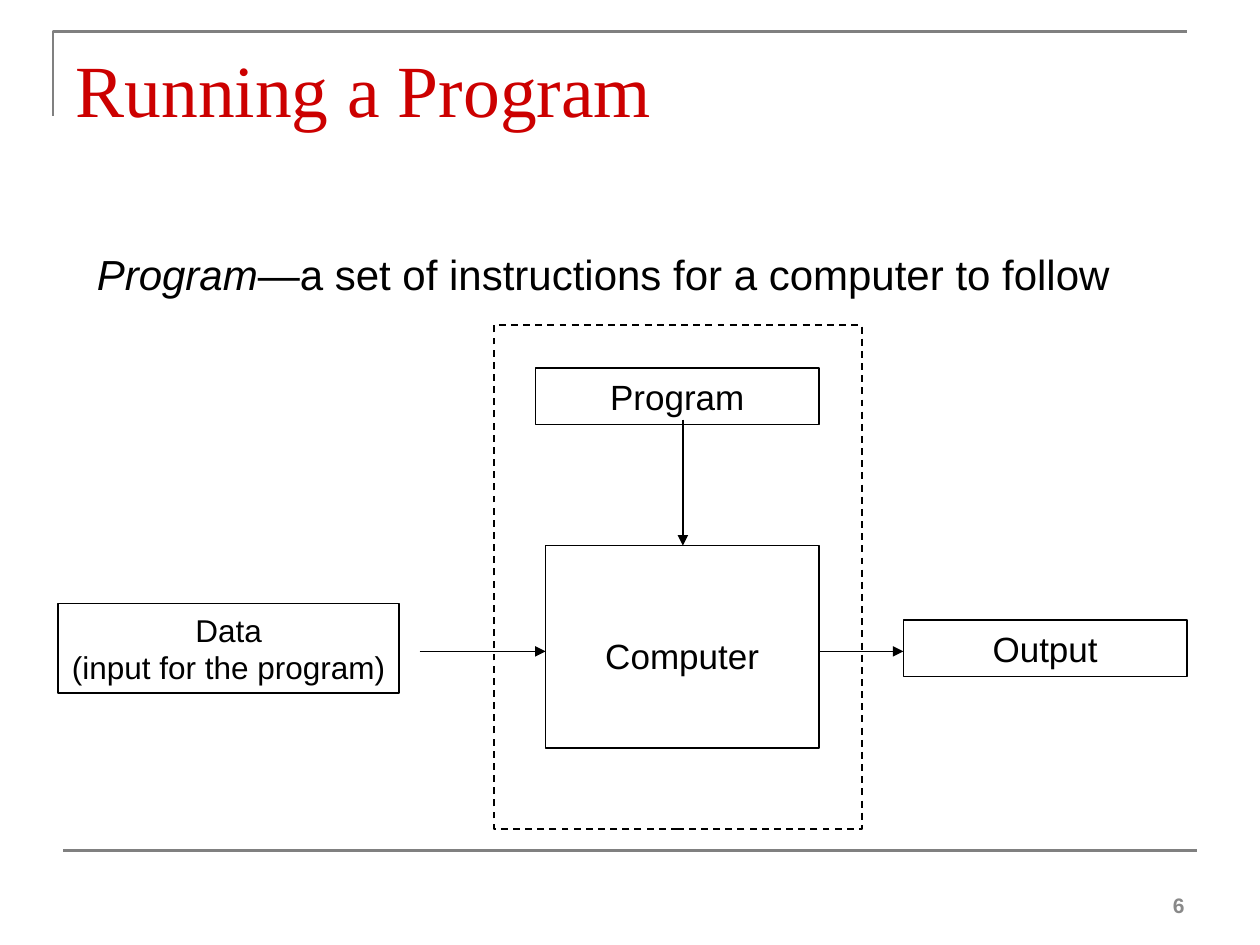
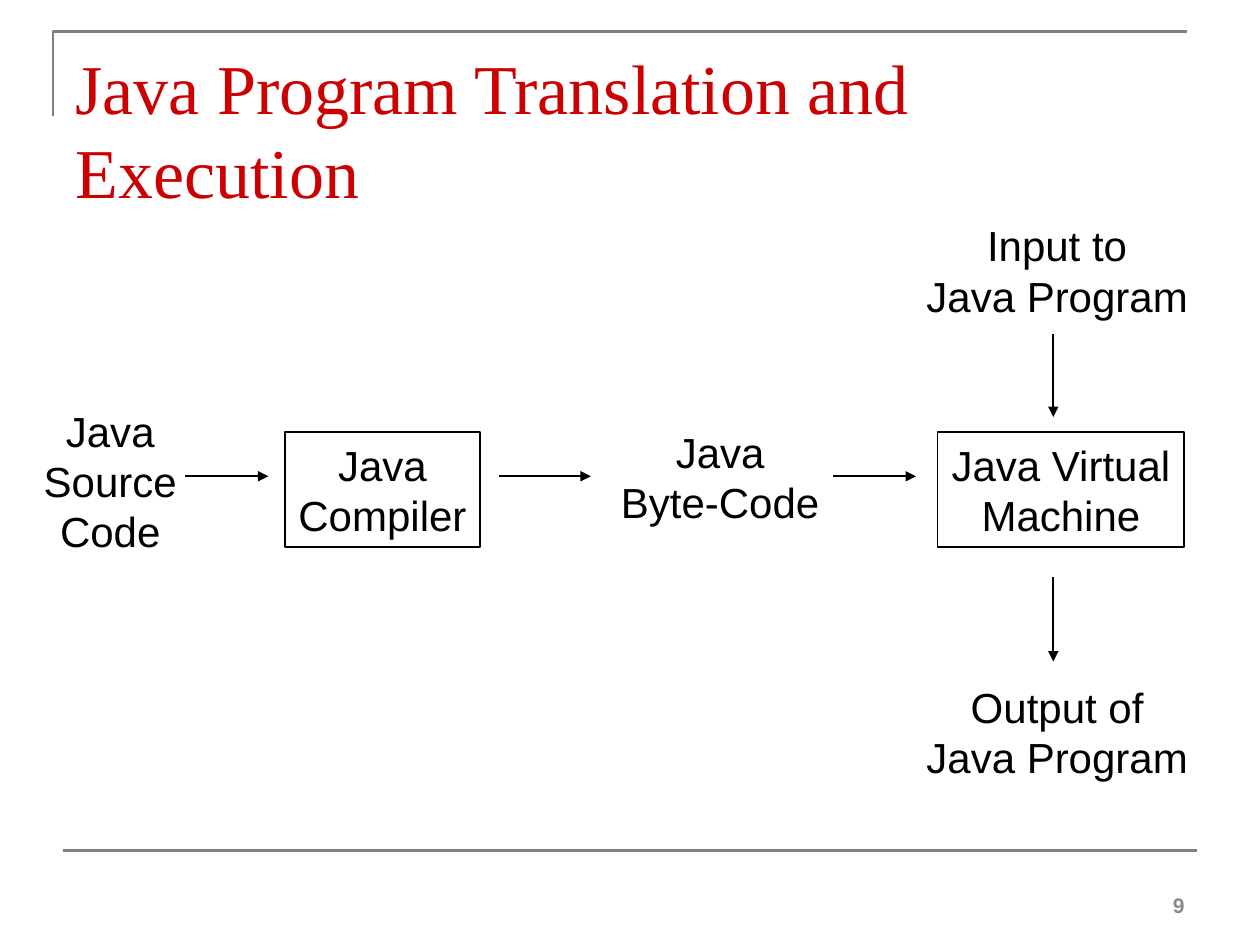
from lxml.etree import SubElement
from pptx import Presentation
from pptx.dml.color import RGBColor
from pptx.enum.dml import MSO_LINE
from pptx.enum.shapes import MSO_CONNECTOR, MSO_SHAPE
from pptx.enum.text import MSO_ANCHOR, MSO_AUTO_SIZE, PP_ALIGN
from pptx.oxml.ns import qn
from pptx.util import Emu, Pt

PX = 9144  # EMU in one px, 100 px to the inch
BLACK = RGBColor(0x00, 0x00, 0x00)
RED = RGBColor(0xCC, 0x00, 0x00)
RULE_GRAY = RGBColor(0x80, 0x80, 0x80)
NUMBER_GRAY = RGBColor(0x89, 0x89, 0x89)
TITLE_FONT, BODY_FONT = "Times New Roman", "Arial"

SLIDE_SIZE = (1000, 750)
TITLE_BOX = (50, 30, 900, 125)
NUMBER_BOX = (717, 683, 233, 50)
CORNER = [(42, 92), (42, 25), (942, 25)]
FOOT_RULE = (50, 675, 950, 675)

# Boxes are (left, top, width, height); arrows are (x1, y1, x2, y2).
SLIDES = [
    {
        "title": "Running a Program", "title_size": 42, "number": "6",
        "definition": ("Program", "—a set of instructions for a computer to follow"),
        "definition_box": (67, 192, 883, 50),
        "dashed_frame": (392, 258, 292, 400),
        "boxes": [
            (["Program"], (425, 292, 225, 45), {"size": 20}),
            (["Computer"], (433, 433, 217, 161), {"size": 20, "top_inset": 19}),
            (["Data", "(input for the program)"], (46, 479, 271, 71), {"size": 18}),
            (["Output"], (717, 492, 225, 45), {"size": 20}),
        ],
        "labels": [],
        "arrows": [(542, 333, 542, 433), (333, 517, 433, 517), (650, 517, 717, 517)],
    },
    {
        "title": "Java Program Translation and Execution", "title_size": 40, "number": "9",
        "boxes": [
            (["Java", "Compiler"], (226, 343, 155, 91), {}),
            (["Java Virtual", "Machine"], (744, 343, 196, 91), {}),
        ],
        "labels": [
            (["Java", "Source", "Code"], (24, 316, 127, 131), {}),
            (["Java", "Byte-Code"], (482, 333, 179, 91), {}),
            (["Input to", "Java Program"], (724, 169, 230, 91), {}),
            (["Output of", "Java Program"], (724, 535, 230, 91), {}),
        ],
        "arrows": [
            (147, 378, 213, 378), (396, 378, 469, 378), (661, 378, 727, 378),
            (836, 265, 836, 331), (836, 458, 836, 525),
        ],
    },
]


def px(lengths):
    return [Emu(length * PX) for length in lengths]


def write(frame, lines, size=24, font=BODY_FONT, color=BLACK, bold=False, italic_lead="",
          align=PP_ALIGN.CENTER, anchor=MSO_ANCHOR.MIDDLE, wrap=False, top_inset=5):
    """Fill a text frame, one paragraph a line; italic_lead opens the first one."""
    frame.auto_size = MSO_AUTO_SIZE.NONE
    frame.word_wrap = wrap
    frame.vertical_anchor = anchor
    frame.margin_top = Emu(top_inset * PX)
    for index, line in enumerate(lines):
        paragraph = frame.add_paragraph() if index else frame.paragraphs[0]
        paragraph.alignment = align
        lead = italic_lead if index == 0 else ""
        for words, italic in ((lead, True), (line, False)):
            if words:
                run = paragraph.add_run()
                run.text = words
                run.font.name, run.font.size = font, Pt(size)
                run.font.bold, run.font.italic = bold, italic
                run.font.color.rgb = color


def outline(shape, color=BLACK, width=1):
    shape.line.color.rgb = color
    shape.line.width = Pt(width)


def add_line(slide, ends, color=BLACK, width=1, arrow=False):
    connector = slide.shapes.add_connector(MSO_CONNECTOR.STRAIGHT, *px(ends))
    outline(connector, color, width)
    properties = connector.element.spPr
    if arrow:
        SubElement(properties.find(qn("a:ln")), qn("a:tailEnd"), type="triangle")
    SubElement(properties, qn("a:effectLst"))


def add_box(slide, box):
    rectangle = slide.shapes.add_shape(MSO_SHAPE.RECTANGLE, *px(box))
    rectangle.shadow.inherit = False
    rectangle.fill.background()
    outline(rectangle)
    return rectangle


def add_label(slide, lines, box, **text_format):
    write(slide.shapes.add_textbox(*px(box)).text_frame, lines, **text_format)


def add_page(deck, content):
    """Add a slide with the shared corner, foot rule, title and number."""
    slide = deck.slides.add_slide(deck.slide_layouts.get_by_name("Title Only"))
    builder = slide.shapes.build_freeform(*CORNER[0], scale=PX)
    builder.add_line_segments(CORNER[1:], close=False)
    corner = builder.convert_to_shape()
    corner.shadow.inherit = False
    corner.fill.background()
    outline(corner, RULE_GRAY, 1.5)
    add_line(slide, FOOT_RULE, RULE_GRAY, 1.5)

    title = slide.shapes.title
    title.left, title.top, title.width, title.height = px(TITLE_BOX)
    write(title.text_frame, [content["title"]], size=content["title_size"], font=TITLE_FONT,
          color=RED, align=PP_ALIGN.LEFT, anchor=MSO_ANCHOR.TOP, wrap=True)
    add_label(slide, [content["number"]], NUMBER_BOX, size=12, color=NUMBER_GRAY, bold=True,
              align=PP_ALIGN.RIGHT, anchor=MSO_ANCHOR.BOTTOM, wrap=True)
    return slide


def main():
    deck = Presentation()
    deck.slide_width, deck.slide_height = px(SLIDE_SIZE)
    for content in SLIDES:
        slide = add_page(deck, content)
        for lines, box, text_format in content["boxes"]:
            write(add_box(slide, box).text_frame, lines, **text_format)
        for lines, box, text_format in content["labels"]:
            add_label(slide, lines, box, **text_format)
        for ends in content["arrows"]:
            add_line(slide, ends, arrow=True)
        if "dashed_frame" in content:
            add_box(slide, content["dashed_frame"]).line.dash_style = MSO_LINE.DASH
        if "definition" in content:
            term, meaning = content["definition"]
            add_label(slide, [meaning], content["definition_box"], italic_lead=term,
                      align=PP_ALIGN.LEFT, anchor=MSO_ANCHOR.TOP, wrap=True)
    deck.save("out.pptx")


if __name__ == "__main__":
    main()
